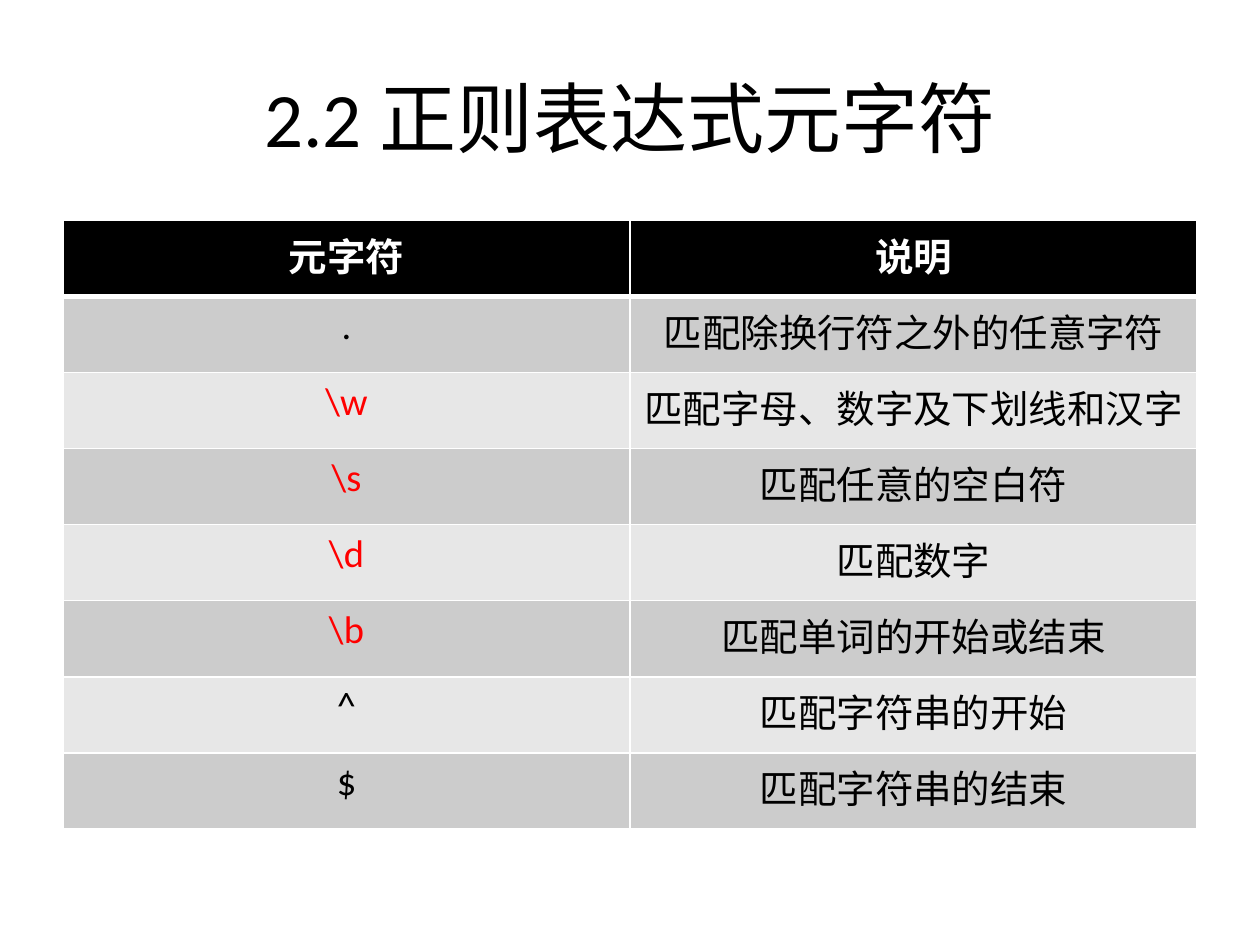
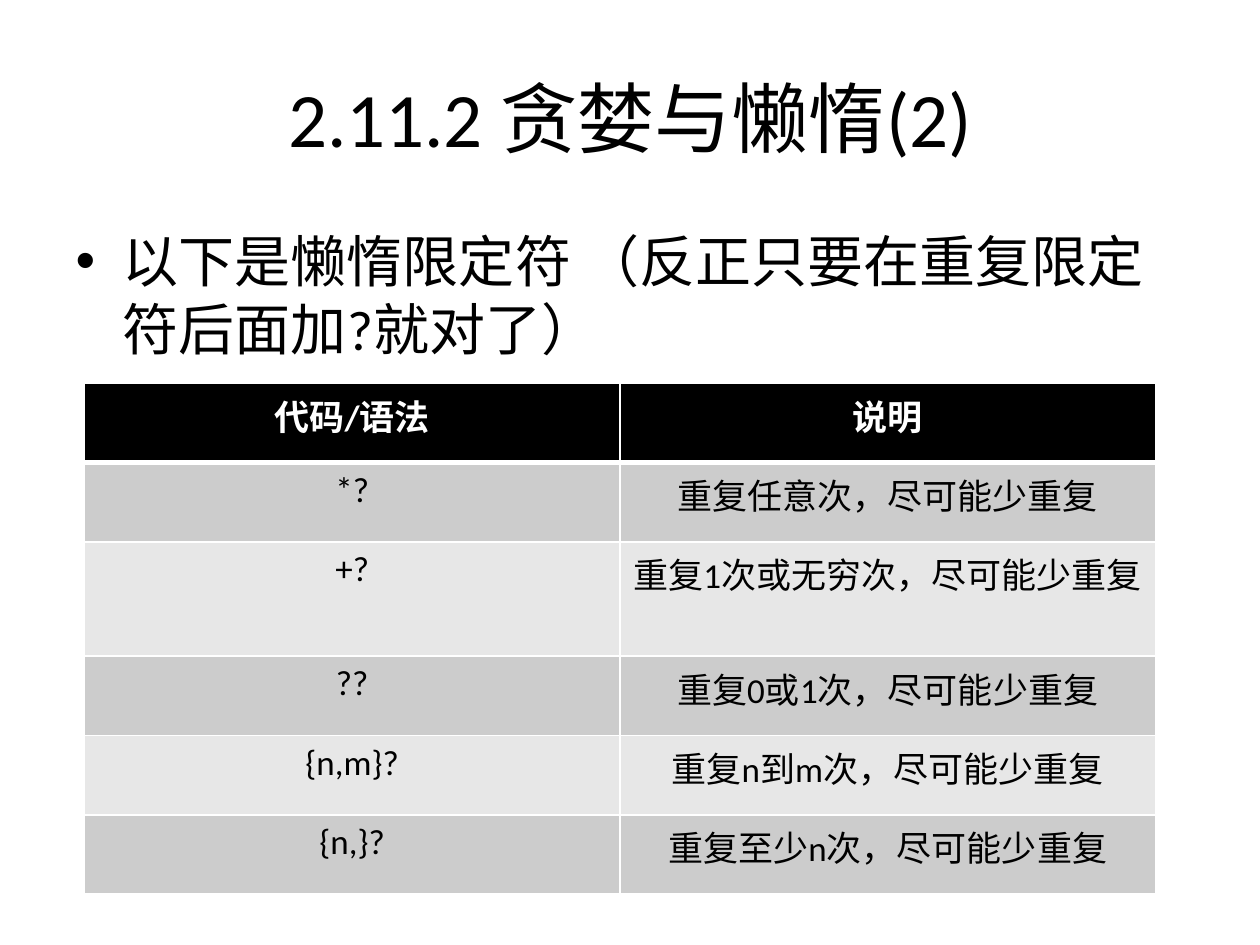
"""Build two slides on regular expressions, each with a banded table."""
from dataclasses import dataclass

from lxml import etree
from pptx import Presentation
from pptx import util as u
from pptx.dml.color import RGBColor
from pptx.enum import text
from pptx.oxml.ns import qn


@dataclass(frozen=True)
class Theme:
    font: str = "Calibri"
    ink: str = "000000"
    accent: str = "FF0000"
    white: str = "FFFFFF"
    bands: tuple = ("CCCCCC", "E7E7E7")
    title_size: int = 44
    body_size: int = 32
    rule: int = 1
    header_rule: int = 3


THEME = Theme()
TITLE_BOX = (36, 21.6, 648, 90)
BODY_BOX = (36, 126, 648, 356.4)
TITLE_ONLY, TITLE_AND_BODY = 5, 1

SLIDES = [
    {
        "title": "2.2 正则表达式元字符",
        "bullets": [],
        "box": (36, 126, 648, 347.76),
        "size": 22,
        "highlighted": {r"\w", r"\s", r"\d", r"\b"},
        "rows": [
            ("元字符", "说明"),
            (".", "匹配除换行符之外的任意字符"),
            (r"\w", "匹配字母、数字及下划线和汉字"),
            (r"\s", "匹配任意的空白符"),
            (r"\d", "匹配数字"),
            (r"\b", "匹配单词的开始或结束"),
            ("^", "匹配字符串的开始"),
            ("$", "匹配字符串的结束"),
        ],
    },
    {
        "title": "2.11.2 贪婪与懒惰(2)",
        "bullets": ["以下是懒惰限定符 （反正只要在重复限定符后面加?就对了）"],
        "box": (48.24, 218.88, 612, 272.16),
        "size": 20,
        "highlighted": set(),
        "rows": [
            ("代码/语法", "说明"),
            ("*?", "重复任意次，尽可能少重复"),
            ("+?", "重复1次或无穷次，尽可能少重复"),
            ("??", "重复0或1次，尽可能少重复"),
            ("{n,m}?", "重复n到m次，尽可能少重复"),
            ("{n,}?", "重复至少n次，尽可能少重复"),
        ],
    },
]


def add_run(paragraph, words, size, color=THEME.ink, bold=False):
    run = paragraph.add_run()
    run.text = words
    run.font.name = THEME.font
    run.font.size = u.Pt(size)
    run.font.bold = bold
    run.font.color.rgb = RGBColor.from_string(color)


def place(shape, box):
    shape.left, shape.top, shape.width, shape.height = map(u.Pt, box)


def add_borders(cell, top, bottom):
    properties = cell._tc.get_or_add_tcPr()
    widths = {"lnL": THEME.rule, "lnR": THEME.rule, "lnT": top, "lnB": bottom}
    for side, width in widths.items():
        line = etree.SubElement(properties, qn(f"a:{side}"), w=str(u.Pt(width)))
        fill = etree.SubElement(line, qn("a:solidFill"))
        etree.SubElement(fill, qn("a:srgbClr"), val=THEME.white)


def format_cell(cell, words, row, size, highlighted):
    header = row == 0
    add_borders(
        cell,
        top=THEME.header_rule if row == 1 else THEME.rule,
        bottom=THEME.header_rule if header else THEME.rule,
    )
    background = THEME.ink if header else THEME.bands[(row - 1) % 2]
    cell.fill.solid()
    cell.fill.fore_color.rgb = RGBColor.from_string(background)
    color = THEME.white if header else THEME.accent if words in highlighted else THEME.ink
    paragraph = cell.text_frame.paragraphs[0]
    paragraph.alignment = text.PP_ALIGN.CENTER
    add_run(paragraph, words, size, color, bold=header)


def add_banded_table(slide, content):
    rows = content["rows"]
    left, top, width, height = content["box"]
    frame = slide.shapes.add_table(
        len(rows), len(rows[0]), u.Pt(left), u.Pt(top), u.Pt(width), u.Pt(height)
    )
    for table_row in frame.table.rows:
        table_row.height = u.Pt(height / len(rows))
    for row, entries in enumerate(rows):
        for column, words in enumerate(entries):
            cell = frame.table.cell(row, column)
            format_cell(cell, words, row, content["size"], content["highlighted"])


def add_bullets(slide, bullets):
    body = slide.placeholders[1]
    place(body, BODY_BOX)
    for index, words in enumerate(bullets):
        frame = body.text_frame
        paragraph = frame.add_paragraph() if index else frame.paragraphs[0]
        add_run(paragraph, words, THEME.body_size)


def add_slide(presentation, content):
    layout = TITLE_AND_BODY if content["bullets"] else TITLE_ONLY
    slide = presentation.slides.add_slide(presentation.slide_layouts[layout])
    title = slide.shapes.title
    place(title, TITLE_BOX)
    title.text_frame.vertical_anchor = text.MSO_ANCHOR.MIDDLE
    paragraph = title.text_frame.paragraphs[0]
    paragraph.alignment = text.PP_ALIGN.CENTER
    add_run(paragraph, content["title"], THEME.title_size)
    if content["bullets"]:
        add_bullets(slide, content["bullets"])
    add_banded_table(slide, content)


presentation = Presentation()
presentation.slide_width, presentation.slide_height = u.Pt(720), u.Pt(540)
for content in SLIDES:
    add_slide(presentation, content)
presentation.save("out.pptx")
